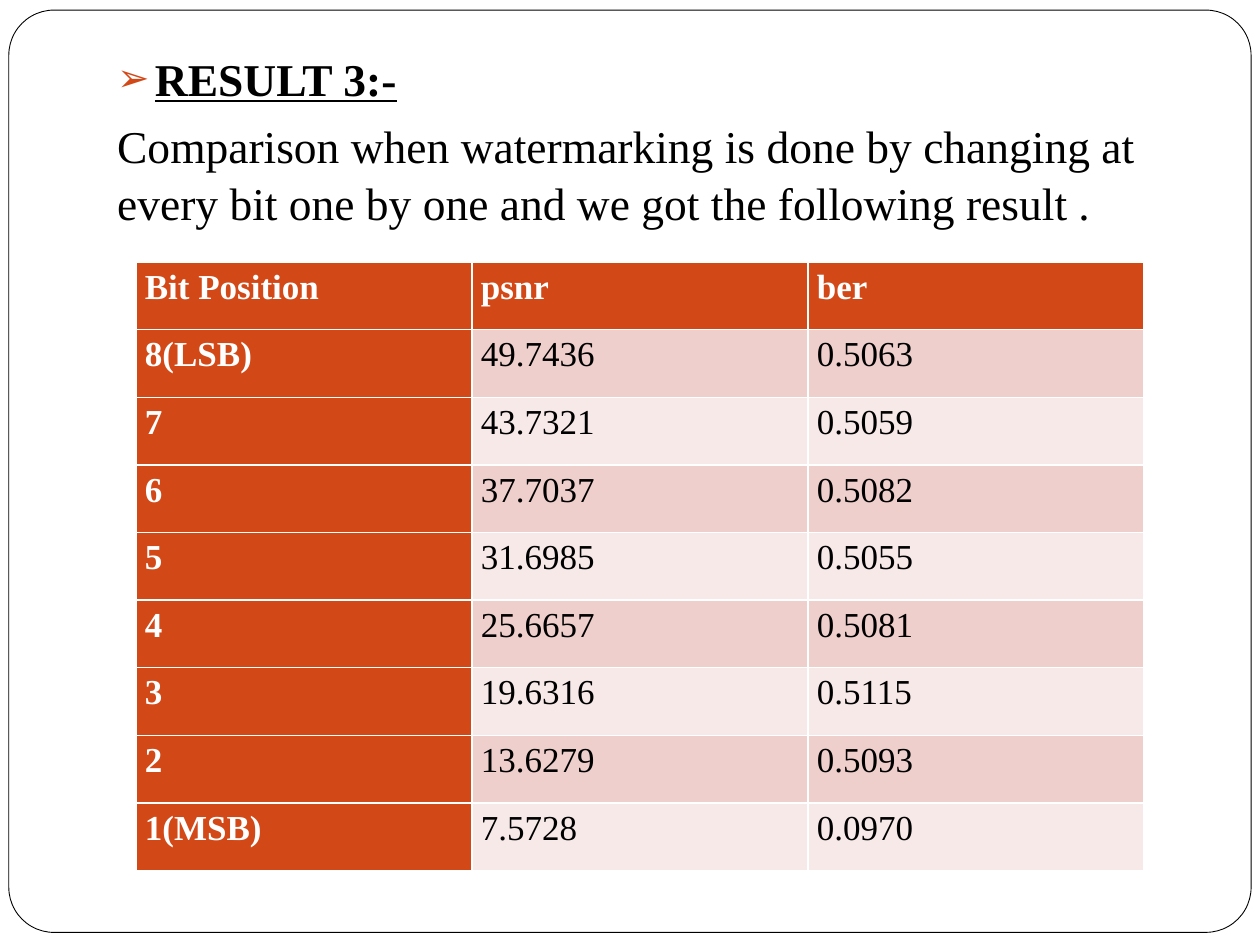
from dataclasses import dataclass

from lxml.etree import SubElement
from pptx import Presentation
from pptx.dml.color import RGBColor as RGB
from pptx.enum.shapes import MSO_SHAPE as Shape
from pptx.enum.text import MSO_ANCHOR as Anchor, MSO_AUTO_SIZE as Fit
from pptx.oxml.ns import qn
from pptx.util import Inches, Pt

HEAD = "RESULT 3:-"
NOTE = ("Comparison when watermarking is done by changing at every bit "
        "one by one and we got the following result .")
ROWS = [
    ("Bit Position", "psnr", "ber"),
    ("8(LSB)", "49.7436", "0.5063"),
    ("7", "43.7321", "0.5059"),
    ("6", "37.7037", "0.5082"),
    ("5", "31.6985", "0.5055"),
    ("4", "25.6657", "0.5081"),
    ("3", "19.6316", "0.5115"),
    ("2", "13.6279", "0.5093"),
    ("1(MSB)", "7.5728", "0.0970"),
]


@dataclass(frozen=True)
class Theme:
    font: str = "Times New Roman"
    ink: str = "000000"
    paper: str = "FFFFFF"
    accent: str = "D34817"
    bands: tuple = ("F7E9E8", "EFCFCC")
    text: int = 26
    cell: int = 20


THEME = Theme()


def color(code):
    return RGB.from_string(code)


def style(para, size, ink, bold=False):
    font = para.font
    font.name, font.size, font.bold = THEME.font, Pt(size), bold
    font.color.rgb = color(ink)


def set_bullet(para, mark=None):
    """Give the paragraph a hanging bullet, or none at all."""
    props = para._p.get_or_add_pPr()
    hang = Inches(0.3) if mark else 0
    props.set("marL", str(hang))
    props.set("indent", str(-hang))
    if not mark:
        SubElement(props, qn("a:buNone"))
        return
    tint = SubElement(props, qn("a:buClr"))
    SubElement(tint, qn("a:srgbClr"), val=THEME.accent)
    SubElement(props, qn("a:buSzPct"), val="85000")
    SubElement(props, qn("a:buChar"), char=mark)


def add_frame(slide):
    frame = slide.shapes.add_shape(
        Shape.ROUNDED_RECTANGLE,
        Inches(0.07), Inches(0.08), Inches(9.86), Inches(7.32))
    frame.adjustments[0] = 0.049
    frame.shadow.inherit = False
    frame.fill.solid()
    frame.fill.fore_color.rgb = color(THEME.paper)
    frame.line.color.rgb = color(THEME.ink)
    frame.line.width = Pt(0.5)
    slide.shapes._spTree.insert(2, frame._element)  # behind the text


def fill_body(body):
    body.left, body.top = Inches(0.83), Inches(0.33)
    body.width, body.height = Inches(8.5), Inches(5)
    box = body.text_frame
    box.auto_size, box.vertical_anchor = Fit.NONE, Anchor.TOP
    head, note = box.paragraphs[0], box.add_paragraph()
    head.text, note.text = HEAD, NOTE
    for para in (head, note):
        para.space_before, para.line_spacing = Pt(5.8), 1.05
        style(para, THEME.text, THEME.ink, bold=para is head)
    head.font.underline = True
    set_bullet(head, "➢")
    set_bullet(note)


def add_grid(slide):
    grid = slide.shapes.add_table(
        len(ROWS), len(ROWS[0]),
        Inches(1.08), Inches(2.08), Inches(8), Inches(4.83)).table
    grid.first_col = True
    for r, row in enumerate(ROWS):
        for c, text in enumerate(row):
            cell = grid.cell(r, c)
            key = r == 0 or c == 0
            cell.margin_left = cell.margin_right = Inches(0.07)
            cell.margin_top = cell.margin_bottom = 0
            cell.fill.solid()
            cell.fill.fore_color.rgb = color(
                THEME.accent if key else THEME.bands[r % 2])
            para = cell.text_frame.paragraphs[0]
            para.text, para.line_spacing = text, 1.15
            style(para, THEME.cell, THEME.paper if key else THEME.ink, key)


def main():
    deck = Presentation()
    deck.slide_width, deck.slide_height = Inches(10), Inches(7.5)
    slide = deck.slides.add_slide(deck.slide_layouts[1])
    title, body = slide.placeholders
    title._element.getparent().remove(title._element)
    add_frame(slide)
    fill_body(body)
    add_grid(slide)
    deck.save("out.pptx")


if __name__ == "__main__":
    main()
